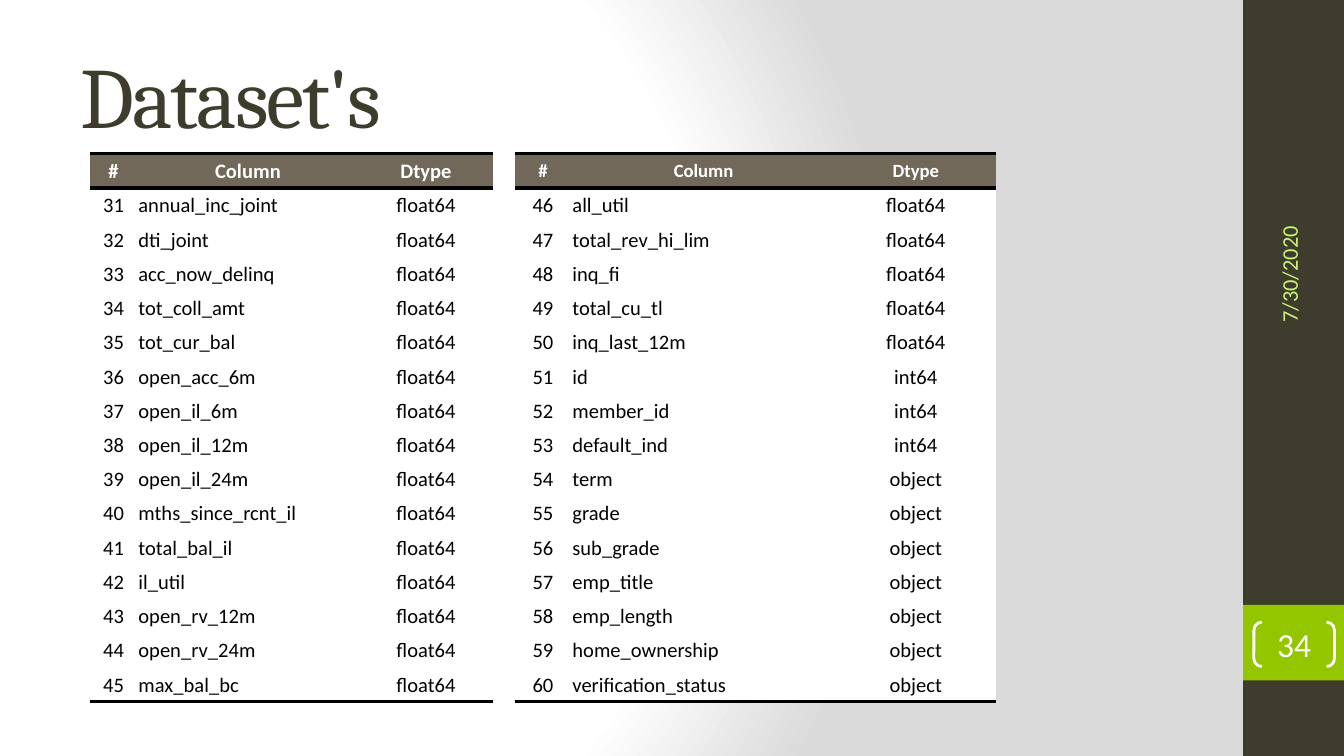
"""Build the Dataset's slide: two column/dtype tables beside a dark date and number bar."""
from lxml import etree
from pptx import Presentation
from pptx.dml.color import RGBColor
from pptx.enum.shapes import MSO_SHAPE
from pptx.enum.text import MSO_ANCHOR, PP_ALIGN
from pptx.oxml.ns import qn
from pptx.util import Pt

RECT, BRACKETS = MSO_SHAPE.RECTANGLE, MSO_SHAPE.DOUBLE_BRACKET
LEFT, CENTER = PP_ALIGN.LEFT, PP_ALIGN.CENTER
MIDDLE = MSO_ANCHOR.MIDDLE

WHITE, BLACK, DARK, GREEN = "FFFFFF", "000000", "3E3D2D", "94C600"
HEADER_FILL = "71685A"
PLAIN_TABLE = "{2D5ABB26-0587-4C30-8999-92F81FD0307C}"

GLOW_STOPS = [(0, WHITE), (75, WHITE), (100, "DADADA")]
GLOW_CENTER = {"l": 20, "t": 50, "r": 100, "b": 50}

HEADINGS = ("#", "Column", "Dtype")
ALIGNMENTS = (CENTER, LEFT, CENTER)
TABLES = [
    {
        "left": 48.24, "widths": (25.2, 118.8, 72), "heading_size": 11, "first": 31,
        "groups": [
            ("float64", ["annual_inc_joint", "dti_joint", "acc_now_delinq", "tot_coll_amt",
                         "tot_cur_bal", "open_acc_6m", "open_il_6m", "open_il_12m",
                         "open_il_24m", "mths_since_rcnt_il", "total_bal_il", "il_util",
                         "open_rv_12m", "open_rv_24m", "max_bal_bc"]),
        ],
    },
    {
        "left": 275.76, "widths": (30.24, 141.84, 85.68), "heading_size": 10, "first": 46,
        "groups": [
            ("float64", ["all_util", "total_rev_hi_lim", "inq_fi", "total_cu_tl",
                         "inq_last_12m"]),
            ("int64", ["id", "member_id", "default_ind"]),
            ("object", ["term", "grade", "sub_grade", "emp_title", "emp_length",
                        "home_ownership", "verification_status"]),
        ],
    },
]
TABLE_TOP, ROW_HEIGHT = 82.4, 18.36

BARS = [((666, 0, 54, 405), DARK), ((666, 324, 54, 40.5), GREEN)]
TITLE = ("Dataset's", (36, 16.56, 599.76, 67.68),
         {"size": Pt(46), "name": "Cambria"}, DARK)
DATE = ("7/30/2020", (618.48, 93.6, 144, 28.8),
        {"size": Pt(12), "name": "Calibri"}, "CAF278")
NUMBER = ("34", (671.76, 333.36, 43.2, 23.76),
          {"size": Pt(18), "name": "Calibri"}, WHITE)
NO_MARGINS = dict.fromkeys(("margin_left", "margin_right", "margin_top", "margin_bottom"), 0)
CELL_FORMAT = {"margin_left": Pt(0.7), "margin_right": Pt(0.7), "margin_top": Pt(0.7),
               "margin_bottom": 0, "vertical_anchor": MIDDLE}


def rgb(value):
    return RGBColor.from_string(value)


def apply(target, values):
    for key, value in values.items():
        setattr(target, key, value)


def points(box):
    return [Pt(length) for length in box]


def paint(part, color):
    part.fill.solid()
    part.fill.fore_color.rgb = rgb(color)


def write(frame, text, font, color, align=LEFT):
    paragraph = frame.paragraphs[0]
    paragraph.alignment = align
    run = paragraph.add_run()
    run.text = text
    apply(run.font, font)
    run.font.color.rgb = rgb(color)
    return run


def add_child(parent, tag, **attributes):
    return etree.SubElement(parent, qn(tag), attributes)


def paint_glow(slide):
    slide.background.fill.gradient()
    glow = next(slide.element.iter(qn("a:gradFill")))
    for child in list(glow):
        glow.remove(child)
    stops = add_child(glow, "a:gsLst")
    for position, color in GLOW_STOPS:
        stop = add_child(stops, "a:gs", pos=str(position * 1000))
        add_child(stop, "a:srgbClr", val=color)
    circle = add_child(glow, "a:path", path="circle")
    add_child(circle, "a:fillToRect",
              **{side: str(share * 1000) for side, share in GLOW_CENTER.items()})


def add_label(slide, text, box, font, color):
    label = slide.shapes.add_textbox(*points(box))
    apply(label.text_frame, {"word_wrap": True, "vertical_anchor": MIDDLE})
    return label, write(label.text_frame, text, font, color)


def add_preset(slide, preset, box):
    shape = slide.shapes.add_shape(preset, *points(box))
    shape.shadow.inherit = False
    return shape


def add_rules(cell, sides):
    properties = cell._tc.get_or_add_tcPr()
    for index, side in enumerate(sides):
        rule = etree.Element(qn(f"a:ln{side}"), w=str(Pt(2)))
        add_child(add_child(rule, "a:solidFill"), "a:srgbClr", val=BLACK)
        properties.insert(index, rule)


def add_columns_table(slide, left, widths, heading_size, first, groups):
    entries = [(name, dtype) for dtype, names in groups for name in names]
    rows = [HEADINGS] + [(str(number), *entry) for number, entry in enumerate(entries, first)]
    box = (left, TABLE_TOP, sum(widths), ROW_HEIGHT * len(rows))
    table = slide.shapes.add_table(len(rows), len(widths), *points(box)).table
    table._tbl.tblPr.find(qn("a:tableStyleId")).text = PLAIN_TABLE
    table.horz_banding = False
    for column, width in zip(table.columns, widths):
        column.width = Pt(width)
    for r, row in enumerate(rows):
        table.rows[r].height = Pt(ROW_HEIGHT)
        heading = r == 0
        font = {"size": Pt(heading_size if heading else 11), "name": "Calibri", "bold": heading}
        sides = "TB" if heading else "B" if r == len(rows) - 1 else ""
        for c, text in enumerate(row):
            cell = table.cell(r, c)
            apply(cell, CELL_FORMAT)
            paint(cell, HEADER_FILL if heading else WHITE)
            add_rules(cell, sides)
            write(cell.text_frame, text, font, WHITE if heading else BLACK,
                  CENTER if heading else ALIGNMENTS[c])


def build():
    deck = Presentation()
    apply(deck, {"slide_width": Pt(720), "slide_height": Pt(405)})
    slide = deck.slides.add_slide(deck.slide_layouts[6])
    paint_glow(slide)

    for box, color in BARS:
        bar = add_preset(slide, RECT, box)
        paint(bar, color)
        bar.line.fill.background()

    title_run = add_label(slide, *TITLE)[1]
    title_run.font._element.set("spc", "-100")
    date = add_label(slide, *DATE)[0]
    date.rotation = 270

    text, box, font, color = NUMBER
    brackets = add_preset(slide, BRACKETS, box)
    brackets.adjustments[0] = 0.18
    brackets.fill.background()
    brackets.line.color.rgb = rgb(WHITE)
    brackets.line.width = Pt(1.5)
    apply(brackets.text_frame, {**NO_MARGINS, "vertical_anchor": MIDDLE})
    write(brackets.text_frame, text, font, color, CENTER)

    for table in TABLES:
        add_columns_table(slide, **table)
    deck.save("out.pptx")


build()
